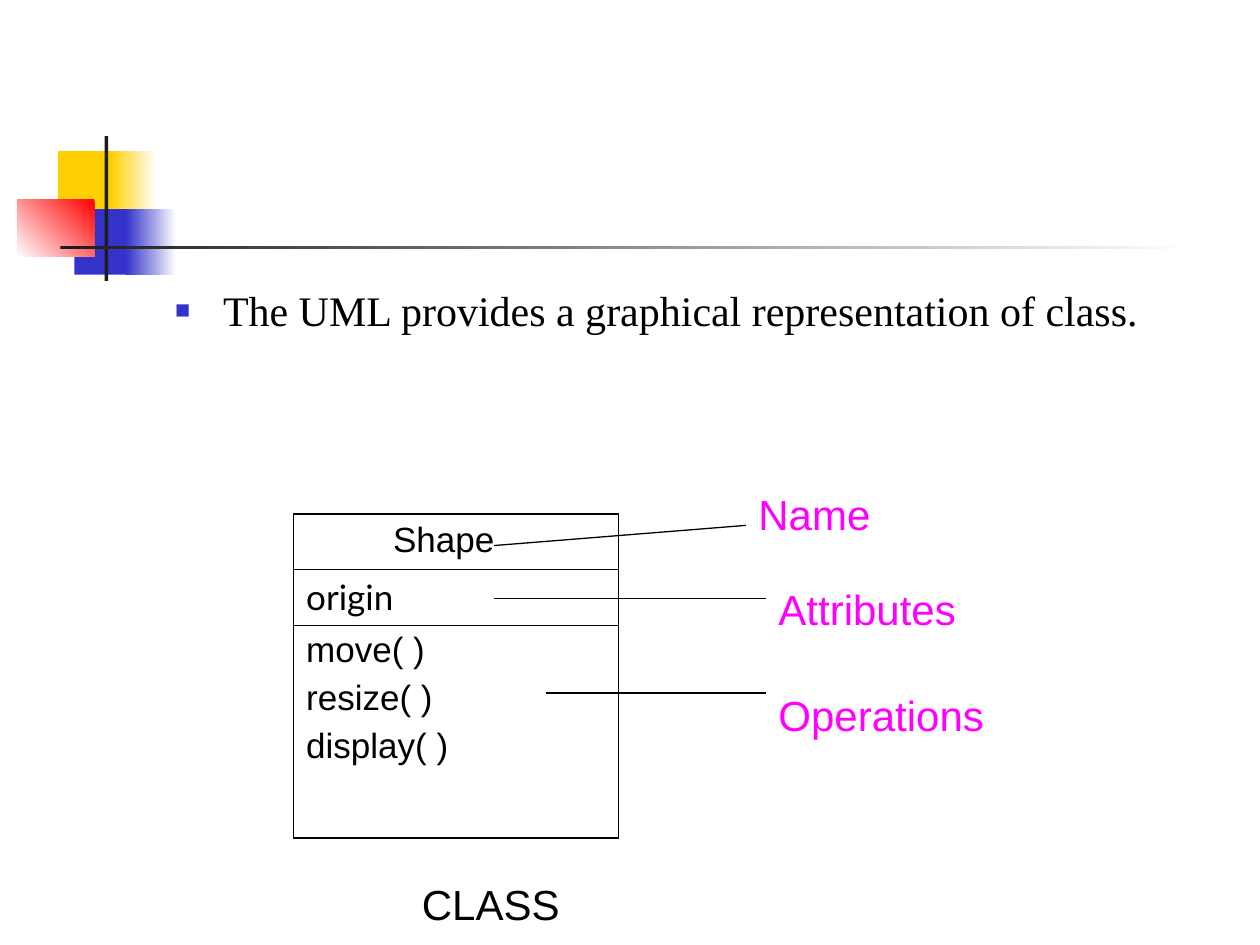
import lxml.etree
import pptx
import pptx.dml.color
import pptx.enum.shapes
import pptx.oxml.ns
import pptx.util

Inches, Pt = pptx.util.Inches, pptx.util.Pt
RGBColor = pptx.dml.color.RGBColor
qn = pptx.oxml.ns.qn

BLACK = RGBColor(0x00, 0x00, 0x00)
WHITE = RGBColor(0xFF, 0xFF, 0xFF)
CHARCOAL = RGBColor(0x1C, 0x1C, 0x1C)
YELLOW = RGBColor(0xFF, 0xCF, 0x01)
BLUE = RGBColor(0x33, 0x33, 0xCC)
RED = RGBColor(0xFF, 0x00, 0x00)
MAGENTA = RGBColor(0xFF, 0x00, 0xFF)


def add_sub(parent, tag, **attrs):
    return lxml.etree.SubElement(parent, qn(tag), attrs)


def style(p, size, color=BLACK, name="Arial"):
    p.font.size, p.font.name = Pt(size), name
    p.font.color.rgb = color


def add_block(s, left, top, width, height, color, fade_angle=None):
    """Add a plain rectangle, fading to white when an angle is given."""
    sp = s.shapes.add_shape(pptx.enum.shapes.MSO_SHAPE.RECTANGLE, Inches(left),
                            Inches(top), Inches(width), Inches(height))
    sp.shadow.inherit = False
    sp.line.fill.background()
    if fade_angle is None:
        sp.fill.solid()
        sp.fill.fore_color.rgb = color
        return
    sp.fill.gradient()
    sp.fill.gradient_angle = fade_angle
    for stop, stop_color in zip(sp.fill.gradient_stops, (color, WHITE)):
        stop.color.rgb = stop_color


def add_ornament(s, left, top):
    for x, y, width, height, color, fade_angle in (
        (0.32, 0.12, 0.48, 0.52, YELLOW, None),
        (0.74, 0.12, 0.36, 0.52, YELLOW, 0),
        (0.45, 0.58, 0.46, 0.52, BLUE, None),
        (0.86, 0.58, 0.40, 0.52, BLUE, 0),
        (0.00, 0.50, 0.61, 0.46, RED, 225),
        (0.69, 0.00, 0.03, 1.15, CHARCOAL, None),
        (0.34, 0.87, 9.00, 0.03, CHARCOAL, 0),
    ):
        add_block(s, left + x, top + y, width, height, color, fade_angle)


def fill_body(s, left, top, width, height):
    body = s.placeholders[1]
    body.left, body.top = Inches(left), Inches(top)
    body.width, body.height = Inches(width), Inches(height)
    p = body.text_frame.paragraphs[0]
    p.text = "The UML provides a graphical representation of class."
    p.space_before = Pt(0)
    pPr = p._p.get_or_add_pPr()
    pPr.set("marL", str(Inches(0.38)))
    pPr.set("indent", str(Inches(-0.38)))
    add_sub(add_sub(pPr, "a:buClr"), "a:srgbClr", val=str(BLUE))
    add_sub(pPr, "a:buSzPct", val="60000")
    add_sub(pPr, "a:buFont", typeface="Arial")
    add_sub(pPr, "a:buChar", char="■")
    style(p, 24, name="Times New Roman")


def set_borders(cell, top, bottom, side):
    """Draw black cell edges of the given widths in points."""
    tcPr = cell._tc.get_or_add_tcPr()
    edges = (("L", side), ("R", side), ("T", top), ("B", bottom))
    for i, (edge, width) in enumerate(edges):
        ln = lxml.etree.Element(qn(f"a:ln{edge}"), w=str(Pt(width)))
        add_sub(add_sub(ln, "a:solidFill"), "a:srgbClr", val=str(BLACK))
        tcPr.insert(i, ln)


def add_class_box(s, left, top, width):
    rows = ((0.44, "Arial", ["Shape"]),
            (0.44, "Lato", ["origin"]),
            (1.69, "Arial", ["move( )", "resize( )", "display( )"]))
    outer, inner = 1.08, 0.45
    height = sum(row[0] for row in rows)
    table = s.shapes.add_table(len(rows), 1, Inches(left), Inches(top),
                               Inches(width), Inches(height)).table
    table.first_row = table.horz_banding = False
    for i, (row_height, font, lines) in enumerate(rows):
        table.rows[i].height = Inches(row_height)
        cell = table.cell(i, 0)
        cell.fill.background()
        set_borders(cell, outer if i == 0 else inner,
                    outer if i == len(rows) - 1 else inner, outer)
        cell.text = "\n".join(lines)
        for j, p in enumerate(cell.text_frame.paragraphs):
            p.space_before = Pt(5 if j else 0)
            style(p, 20, name=font)
    name_p = table.cell(0, 0).text_frame.paragraphs[0]
    name_p._p.get_or_add_pPr().set("marL", str(Inches(0.69)))


def add_label(s, text, left, top, width, color):
    tb = s.shapes.add_textbox(Inches(left), Inches(top), Inches(width), Inches(0.5))
    tf = tb.text_frame
    tf.word_wrap = True
    tf.text = text
    style(tf.paragraphs[0], 24, color)


def add_leader(s, x1, y1, x2, y2):
    line = s.shapes.add_connector(pptx.enum.shapes.MSO_CONNECTOR.STRAIGHT,
                                  Inches(x1), Inches(y1), Inches(x2), Inches(y2))
    line.line.color.rgb = BLACK
    line.line.width = Pt(0.75)
    add_sub(line._element.spPr, "a:effectLst")


def add_class_diagram(s, left, top):
    add_class_box(s, left, top, 2.58)
    for text, start, end, label_top in (
        ("Name", (1.59, 0.25), (3.59, 0.09), -0.25),
        ("Attributes", (1.59, 0.67), (3.75, 0.67), 0.50),
        ("Operations", (2.00, 1.42), (3.75, 1.42), 1.34),
    ):
        add_leader(s, left + start[0], top + start[1], left + end[0], top + end[1])
        add_label(s, text, left + end[0], top + label_top, 2.08, MAGENTA)
    add_label(s, "CLASS", left + 0.92, top + 2.84, 3.33, BLACK)


def main():
    prs = pptx.Presentation()
    prs.slide_width, prs.slide_height = Inches(10), Inches(7.5)
    s = prs.slides.add_slide(prs.slide_layouts[1])
    title = s.shapes.title._element
    title.getparent().remove(title)
    add_ornament(s, 0.14, 1.08)
    fill_body(s, 1.29, 2.21, 8.21, 4.5)
    add_class_diagram(s, 2.33, 4.08)
    prs.save("out.pptx")


if __name__ == "__main__":
    main()
